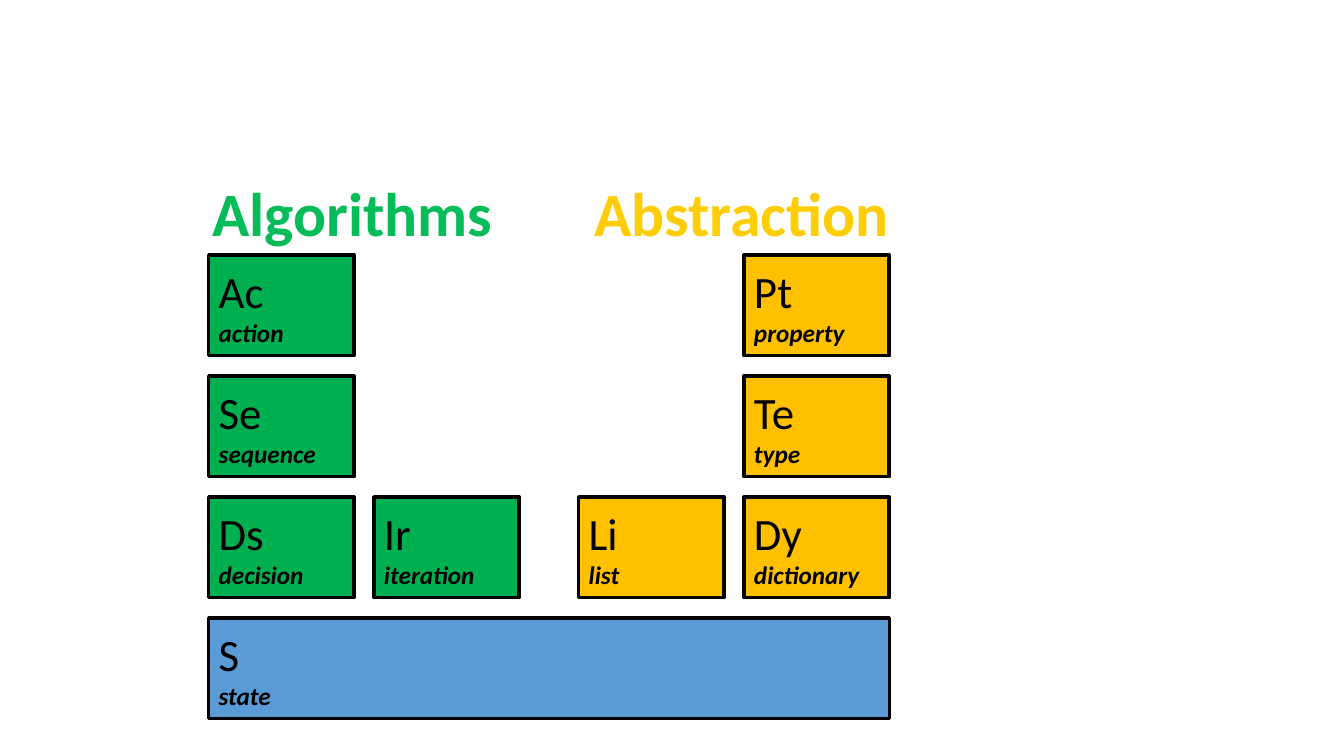
from dataclasses import dataclass

from pptx import Presentation
from pptx.dml.color import RGBColor
from pptx.enum.shapes import MSO_SHAPE
from pptx.enum.text import MSO_ANCHOR, MSO_AUTO_SIZE, PP_ALIGN
from pptx.util import Inches, Pt

RECTANGLE = MSO_SHAPE.RECTANGLE
MIDDLE = MSO_ANCHOR.MIDDLE
FIT_SHAPE = MSO_AUTO_SIZE.SHAPE_TO_FIT_TEXT
LEFT = PP_ALIGN.LEFT


@dataclass(frozen=True)
class Theme:
    font: str = "Calibri"
    black: str = "000000"
    green: str = "00B050"
    amber: str = "FFC000"
    blue: str = "5B9BD5"
    green_heading: str = "05BC58"
    amber_heading: str = "FFCD05"
    heading_size: int = 44
    symbol_size: int = 32
    name_size: int = 18
    border: float = 2.5


theme = Theme()


def style(paragraph, size, color, bold=False, italic=False):
    paragraph.alignment = LEFT
    font = paragraph.font
    font.name = theme.font
    font.size = Pt(size)
    font.bold = bold
    font.italic = italic
    font.color.rgb = RGBColor.from_string(color)


presentation = Presentation()
presentation.slide_width = Inches(13.33)
presentation.slide_height = Inches(7.5)
slide = presentation.slides.add_slide(presentation.slide_layouts[6])

tile_width, tile_height, gap = 1.44, 1, 0.2
grid_top = 2.53
column_step = tile_width + gap
row_step = tile_height + gap
algorithms_left, abstraction_left = 2.07, 5.74
columns = [
    algorithms_left,
    algorithms_left + column_step,
    abstraction_left,
    abstraction_left + column_step,
]
full_width = columns[-1] + tile_width - columns[0]

headings = [
    ("Abstraction", 5.8, 3.15, theme.amber_heading),
    ("Algorithms", 2.01, 3.01, theme.green_heading),
]
for text, left, width, color in headings:
    heading = slide.shapes.add_textbox(Inches(left), Inches(1.69), Inches(width), Inches(0.84))
    frame = heading.text_frame
    frame.word_wrap = False
    frame.auto_size = FIT_SHAPE
    frame.text = text
    style(frame.paragraphs[0], theme.heading_size, color, bold=True)

tiles = [
    ("Pt", "property", 3, 0, tile_width, theme.amber),
    ("Te", "type", 3, 1, tile_width, theme.amber),
    ("Dy", "dictionary", 3, 2, tile_width, theme.amber),
    ("Li", "list", 2, 2, tile_width, theme.amber),
    ("Ds", "decision", 0, 2, tile_width, theme.green),
    ("Se", "sequence", 0, 1, tile_width, theme.green),
    ("Ir", "iteration", 1, 2, tile_width, theme.green),
    ("Ac", "action", 0, 0, tile_width, theme.green),
    ("S", "state", 0, 3, full_width, theme.blue),
]
for symbol, name, column, row, width, color in tiles:
    tile = slide.shapes.add_shape(
        RECTANGLE,
        Inches(columns[column]),
        Inches(grid_top + row * row_step),
        Inches(width),
        Inches(tile_height),
    )
    tile.shadow.inherit = False
    tile.fill.solid()
    tile.fill.fore_color.rgb = RGBColor.from_string(color)
    tile.line.color.rgb = RGBColor.from_string(theme.black)
    tile.line.width = Pt(theme.border)
    frame = tile.text_frame
    frame.word_wrap = True
    frame.vertical_anchor = MIDDLE
    frame.text = f"{symbol}\n{name}"
    symbol_paragraph, name_paragraph = frame.paragraphs
    style(symbol_paragraph, theme.symbol_size, theme.black)
    style(name_paragraph, theme.name_size, theme.black, bold=True, italic=True)

presentation.save("out.pptx")
